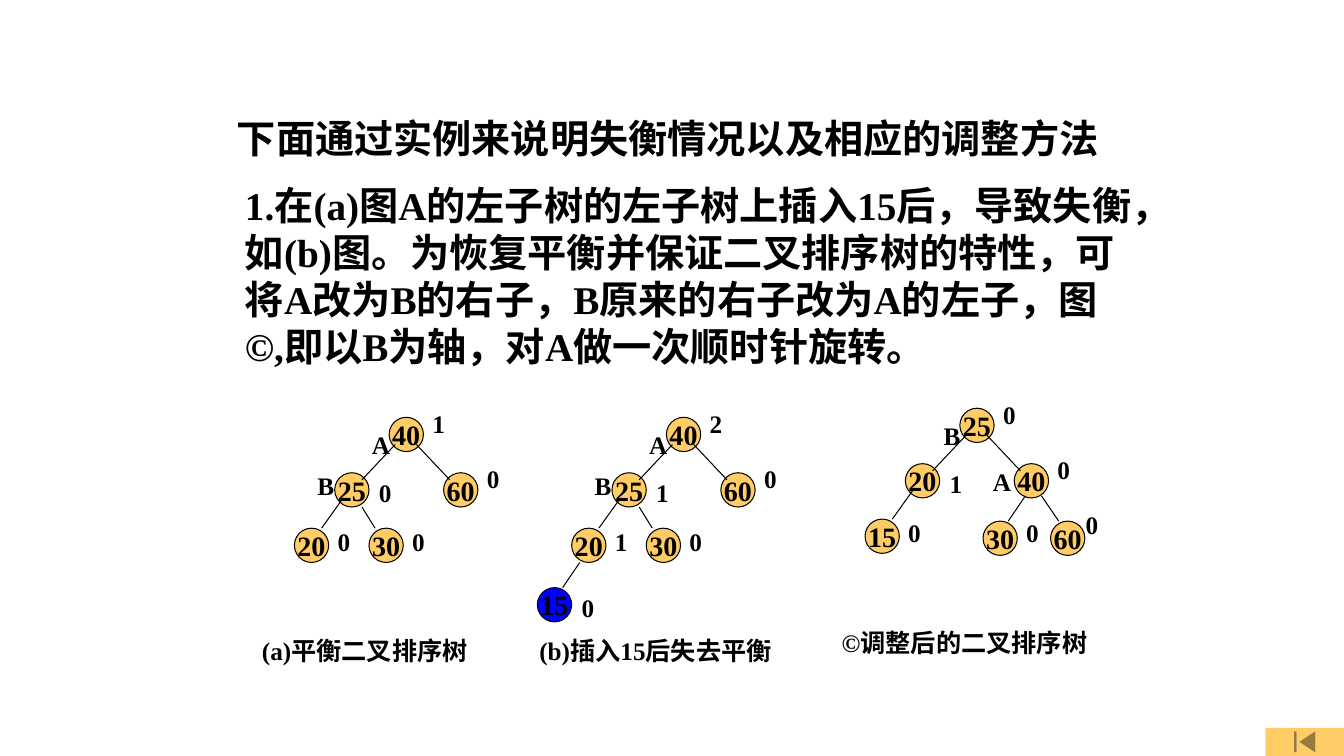
from dataclasses import dataclass

from lxml.etree import SubElement
from pptx import Presentation
from pptx.dml.color import RGBColor
from pptx.enum.shapes import MSO_CONNECTOR as Conn, MSO_SHAPE as Shape
from pptx.enum.text import MSO_ANCHOR as Anchor, MSO_AUTO_SIZE as Fit, PP_ALIGN as Align
from pptx.oxml.ns import qn
from pptx.util import Emu, Pt

PX = 9144
BLACK = RGBColor(0x00, 0x00, 0x00)
AMBER = RGBColor(0xFF, 0xCC, 0x66)
BLUE = RGBColor(0x00, 0x00, 0xFF)
FONT = {"name": "Times New Roman", "bold": True}
PARA = {"alignment": Align.LEFT, "space_before": Pt(0), "line_spacing": 1.0}
BLOCK = {"word_wrap": True, "vertical_anchor": Anchor.TOP, "auto_size": Fit.SHAPE_TO_FIT_TEXT}
NODE = {"word_wrap": False, "vertical_anchor": Anchor.MIDDLE}
D = 34
LABEL_W, LABEL_H = 27, 40

HEADING = "下面通过实例来说明失衡情况以及相应的调整方法"
BODY = (
    "1.在(a)图A的左子树的左子树上插入15后，导致失衡，如(b)图。"
    "为恢复平衡并保证二叉排序树的特性，可将A改为B的右子，"
    "B原来的右子改为A的左子，图©,即以B为轴，对A做一次顺时针旋转。"
)


@dataclass(frozen=True)
class Spot:
    x: int
    y: int
    balance_dx: int
    balance_dy: int
    edge: tuple[int, int, int, int] | None = None


@dataclass(frozen=True)
class Node:
    key: int
    balance: int
    spot: Spot
    fill: RGBColor = AMBER


@dataclass(frozen=True)
class Name:
    text: str
    x: int
    y: int


@dataclass(frozen=True)
class Tree:
    x: int
    y: int
    nodes: list[Node]
    names: list[Name]
    caption: str
    caption_box: tuple[int, int, int]


ROOT = Spot(0, 0, 33, -14)
LEFT = Spot(-54, 55, 34, 0, (6, 27, -27, 62))
RIGHT = Spot(54, 55, 33, -14, (27, 27, 60, 62))
LEFT_LEFT = Spot(-94, 110, 33, -7, (-47, 82, -67, 110))
LEFT_RIGHT = Spot(-20, 110, 33, -7, (-27, 89, -14, 110))
INSERTED = Spot(-128, 169, 34, 0, (-86, 144, -103, 169))
RIGHT_LEFT = Spot(23, 112, 33, -9, (65, 87, 48, 112))
RIGHT_RIGHT = Spot(90, 112, 25, -17, (81, 87, 98, 112))
BEFORE_NAMES = [Name("A", -27, 7), Name("B", -81, 48)]

TREES = [
    Tree(386, 414,
         [Node(40, 1, ROOT), Node(25, 0, LEFT), Node(60, 0, RIGHT),
          Node(20, 0, LEFT_LEFT), Node(30, 0, LEFT_RIGHT)],
         BEFORE_NAMES, "(a)平衡二叉排序树", (-136, 211, 242)),
    Tree(661, 414,
         [Node(40, 2, ROOT), Node(25, 1, LEFT), Node(60, 0, RIGHT),
          Node(20, 1, LEFT_LEFT), Node(30, 0, LEFT_RIGHT), Node(15, 0, INSERTED, BLUE)],
         BEFORE_NAMES, "(b)插入15后失去平衡", (-136, 211, 258)),
    Tree(952, 405,
         [Node(25, 0, ROOT), Node(20, 1, LEFT), Node(40, 0, RIGHT),
          Node(15, 0, LEFT_LEFT), Node(30, 0, RIGHT_LEFT), Node(60, 0, RIGHT_RIGHT)],
         [Name("B", -26, 7), Name("A", 23, 53)], "©调整后的二叉排序树", (-127, 212, 275)),
]


def px(*values: int) -> list[Emu]:
    return [Emu(v * PX) for v in values]


def apply(target, values: dict) -> None:
    for name, value in values.items():
        setattr(target, name, value)


def write(sp, text: str, size: int, frame: dict, align=Align.LEFT) -> None:
    tf = sp.text_frame
    apply(tf, frame)
    p = tf.paragraphs[0]
    apply(p, {**PARA, "alignment": align})
    r = p.add_run()
    r.text = text
    apply(r.font, {**FONT, "size": Pt(size)})
    r.font.color.rgb = BLACK


def place(sp, x: int, y: int, w: int, h: int) -> None:
    apply(sp, dict(zip(("left", "top", "width", "height"), px(x, y, w, h))))


def add_label(shapes, text: str, x: int, y: int, w: int = LABEL_W) -> None:
    write(shapes.add_textbox(*px(x, y, w, LABEL_H)), text, 18, BLOCK)


def add_edge(shapes, x1: int, y1: int, x2: int, y2: int) -> None:
    line = shapes.add_connector(Conn.STRAIGHT, *px(x1, y1, x2, y2))
    line.line.color.rgb = BLACK
    line.line.width = Pt(0.75)
    SubElement(line._element.spPr, qn("a:effectLst"))


def add_node(shapes, node: Node, x: int, y: int) -> None:
    sp = shapes.add_shape(Shape.OVAL, *px(x, y, D, D))
    sp.shadow.inherit = False
    sp.fill.solid()
    sp.fill.fore_color.rgb = node.fill
    sp.line.color.rgb = BLACK
    sp.line.width = Pt(0.75)
    write(sp, str(node.key), 20, NODE, Align.CENTER)


def add_tree(slide, tree: Tree) -> None:
    shapes = slide.shapes.add_group_shape().shapes
    for node in tree.nodes:
        add_node(shapes, node, tree.x + node.spot.x, tree.y + node.spot.y)
    for node in tree.nodes:
        s = node.spot
        if s.edge:
            x1, y1, x2, y2 = s.edge
            add_edge(shapes, tree.x + x1, tree.y + y1, tree.x + x2, tree.y + y2)
        add_label(shapes, str(node.balance),
                  tree.x + s.x + s.balance_dx, tree.y + s.y + s.balance_dy)
    for name in tree.names:
        add_label(shapes, name.text, tree.x + name.x, tree.y + name.y)
    dx, dy, w = tree.caption_box
    add_label(shapes, tree.caption, tree.x + dx, tree.y + dy, w)


def add_texts(slide) -> None:
    title, body = slide.shapes.title, slide.placeholders[1]
    place(title, 225, 108, 917, 57)
    write(title, HEADING, 28, BLOCK)
    place(body, 233, 175, 900, 197)
    pPr = body.text_frame.paragraphs[0]._p.get_or_add_pPr()
    pPr.set("marL", "0")
    pPr.set("indent", "0")
    SubElement(pPr, qn("a:buNone"))
    write(body, BODY, 28, BLOCK)


def add_button(slide) -> None:
    sp = slide.shapes.add_shape(Shape.ACTION_BUTTON_BEGINNING, *px(1255, 722, 78, 28))
    sp.shadow.inherit = False
    sp.fill.solid()
    sp.fill.fore_color.rgb = AMBER
    sp.line.fill.background()


def main() -> None:
    prs = Presentation()
    prs.slide_width, prs.slide_height = px(1333, 750)
    slide = prs.slides.add_slide(prs.slide_layouts[1])
    add_button(slide)
    add_texts(slide)
    for tree in TREES:
        add_tree(slide, tree)
    prs.save("out.pptx")


if __name__ == "__main__":
    main()
